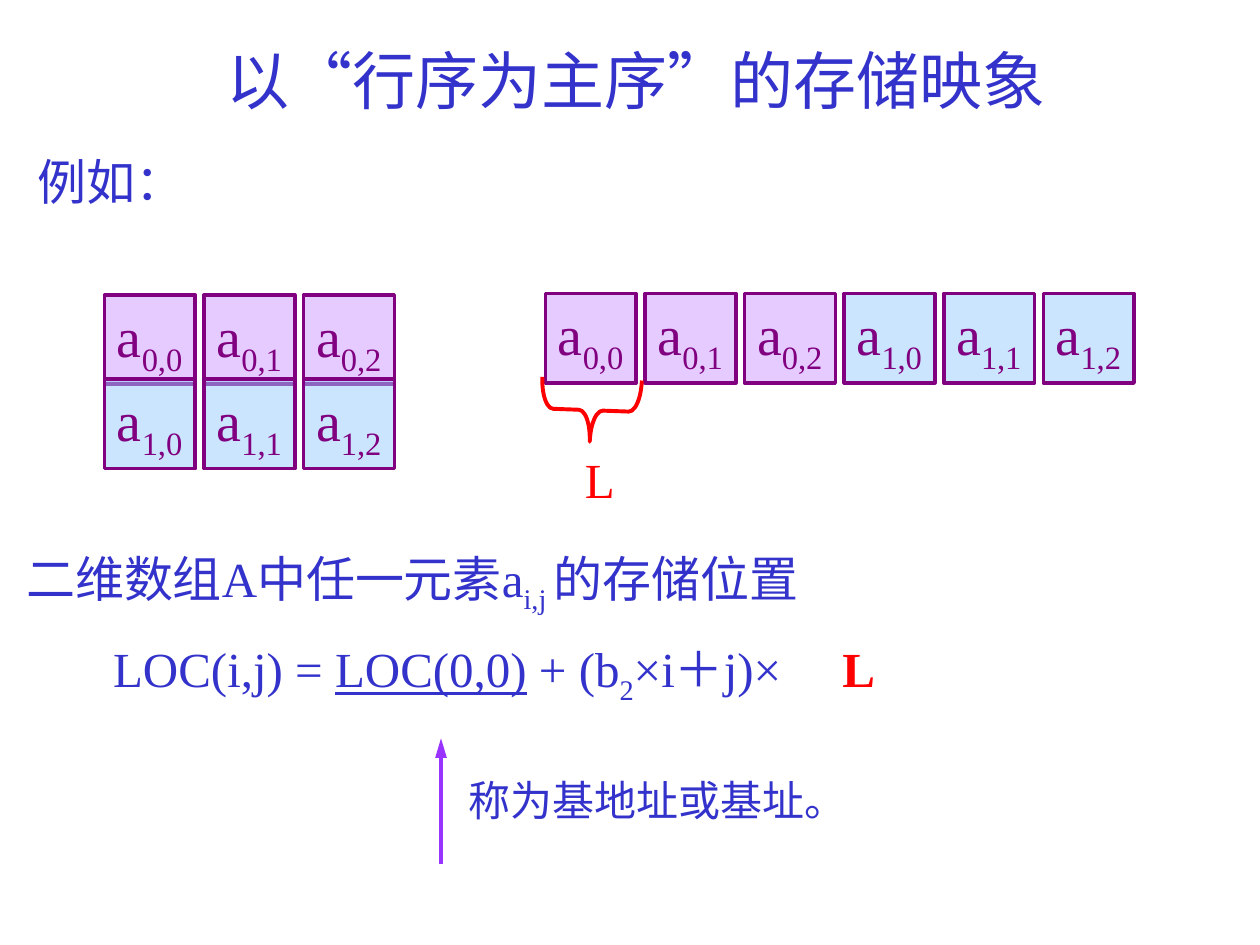
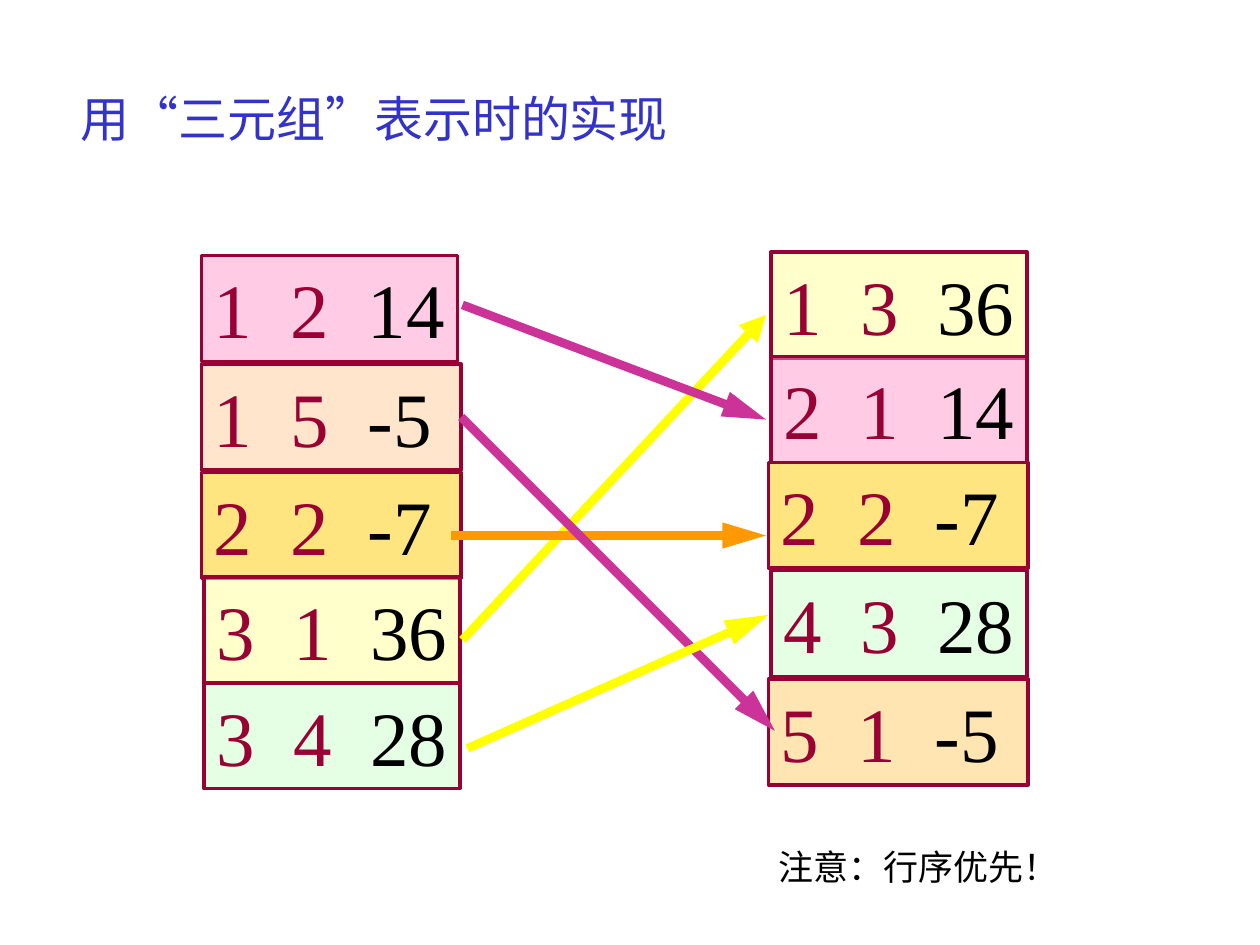
from lxml import etree
from pptx import Presentation
from pptx.dml.color import RGBColor
from pptx.enum.shapes import MSO_CONNECTOR, MSO_SHAPE
from pptx.enum.text import MSO_ANCHOR, MSO_AUTO_SIZE, PP_ALIGN
from pptx.oxml.ns import qn
from pptx.util import Inches, Pt

RECT = MSO_SHAPE.RECTANGLE
BRACE = MSO_SHAPE.LEFT_BRACE
LINE = MSO_CONNECTOR.STRAIGHT
LEFT = PP_ALIGN.LEFT
CENTER = PP_ALIGN.CENTER
TOP = MSO_ANCHOR.TOP
NO_FIT = MSO_AUTO_SIZE.NONE
RIGHT_SIDE = 3

FONT = "Times New Roman"
BLUE = RGBColor(0x33, 0x33, 0xCC)
BLACK = RGBColor(0, 0, 0)
RED = RGBColor(0xFF, 0, 0)
PURPLE = RGBColor(0x80, 0, 0x80)
VIOLET = RGBColor(0x99, 0x33, 0xFF)
LILAC = RGBColor(0xCC, 0x99, 0xFF)
SKY = RGBColor(0x99, 0xCC, 0xFF)
WINE = RGBColor(0x99, 0, 0x33)
PINK = RGBColor(0xFF, 0x99, 0xCC)
PEACH = RGBColor(0xFF, 0xCC, 0x99)
SAND = RGBColor(0xFF, 0xCC, 0x66)
GOLD = RGBColor(0xFF, 0xCC, 0)
CREAM = RGBColor(0xFF, 0xFF, 0x99)
MINT = RGBColor(0xCC, 0xFF, 0xCC)
YELLOW = RGBColor(0xFF, 0xFF, 0)
ROSE = RGBColor(0xCC, 0x33, 0x99)
ORANGE = RGBColor(0xFF, 0x99, 0)

ROW_FILLS = (LILAC, SKY)
COLS = 3

# left, top, row, column, value, fill
SOURCE = [
    (1.6, 2.03, 1, 2, 14, PINK),
    (1.6, 2.89, 1, 5, -5, PEACH),
    (1.6, 3.75, 2, 2, -7, GOLD),
    (1.62, 4.58, 3, 1, 36, CREAM),
    (1.62, 5.42, 3, 4, 28, MINT),
]
RESULT = [
    (6.12, 2, 1, 3, 36, CREAM),
    (6.12, 2.83, 2, 1, 14, PINK),
    (6.1, 3.67, 2, 2, -7, GOLD),
    (6.12, 4.53, 4, 3, 28, MINT),
    (6.1, 5.39, 5, 1, -5, SAND),
]


def write(shape, *paras, size=28, color=BLUE, bold=False, align=LEFT,
          wrap=True, spacing=None):
    """Fill a shape; a paragraph is a string or a list of (text, format) runs."""
    frame = shape.text_frame
    frame.auto_size = NO_FIT
    frame.word_wrap = wrap
    frame.vertical_anchor = TOP
    for i, runs in enumerate(paras):
        para = frame.paragraphs[0] if i == 0 else frame.add_paragraph()
        para.alignment = align
        para.line_spacing = spacing
        for text, form in [(runs, {})] if isinstance(runs, str) else runs:
            run = para.add_run()
            run.text = text
            font = run.font
            font.name, font.size, font.bold = FONT, Pt(size), bold
            font.color.rgb = form.get("color", color)
            if form.get("under"):
                font.underline = True
            if form.get("sub"):
                run._r.get_or_add_rPr().set("baseline", "-25000")
    return frame


def title(slide, text, box, size):
    shape = slide.shapes.title
    shape.left, shape.top, shape.width, shape.height = map(Inches, box)
    write(shape, text, size=size)


def label(slide, box, *paras, **form):
    return write(slide.shapes.add_textbox(*map(Inches, box)), *paras, **form)


def cell(slide, box, fill, edge):
    """Add a half-transparent box with a coloured edge."""
    shape = slide.shapes.add_shape(RECT, *map(Inches, box))
    shape.shadow.inherit = False
    shape.fill.solid()
    shape.fill.fore_color.rgb = fill
    tint = shape._element.spPr.find(".//" + qn("a:srgbClr"))
    etree.SubElement(tint, qn("a:alpha"), val="50000")
    shape.line.color.rgb = edge
    shape.line.width = Pt(2)
    return shape


def item(slide, left, top, row, col):
    """Add one array element with its subscripts."""
    shape = cell(slide, (left, top, 0.72, 0.71), ROW_FILLS[row], PURPLE)
    write(shape, [("a", {}), (f"{row},{col}", {"sub": True})],
          size=32, color=PURPLE, wrap=False)


def triple(slide, left, top, row, col, value, fill):
    width = 2.06 if value < 0 else 2.03
    shape = cell(slide, (left, top, width, 0.84), fill, WINE)
    props = shape.text_frame.paragraphs[0]._p.get_or_add_pPr()
    tabs = etree.SubElement(props, qn("a:tabLst"))
    for stop in (0.61, 1.22):
        etree.SubElement(tabs, qn("a:tab"), pos=str(Inches(stop)), algn="l")
    frame = write(shape, [(f"{row}\t{col}\t", {}), (str(value), {"color": BLACK})],
                  size=44, color=WINE)
    frame.margin_right = 0
    return shape


def arrow(slide, start, end, color, width=5, length="lg", joined=None):
    line = slide.shapes.add_connector(LINE, *map(Inches, start + end))
    if joined is not None:
        line.begin_connect(joined, RIGHT_SIDE)
    line.line.color.rgb = color
    line.line.width = Pt(width)
    etree.SubElement(line.line._get_or_add_ln(), qn("a:tailEnd"),
                     type="triangle", w="med", len=length)
    etree.SubElement(line._element.spPr, qn("a:effectLst"))


def brace(slide, box, turn):
    shape = slide.shapes.add_shape(BRACE, *map(Inches, box))
    shape.rotation = turn
    shape.adjustments[0] = 0.19
    shape.shadow.inherit = False
    shape.fill.background()
    shape.line.color.rgb = RED
    shape.line.width = Pt(2.25)


def storage(slide):
    title(slide, "以“行序为主序”的存储映象", (1.7, 0.28, 6.9, 0.7), 36)
    label(slide, (0.2, 1.15, 1.72, 0.6), "例如：")
    for k in range(2 * COLS):
        row, col = divmod(k, COLS)
        item(slide, 0.83 + 0.79 * col, 2.34 + 0.67 * row, row, col)
        item(slide, 4.33 + 0.79 * k, 2.33, row, col)
    brace(slide, (4.44, 2.86, 0.5, 0.79), 272.1)
    label(slide, (4.44, 3.52, 0.64, 0.57), "L", color=RED, align=CENTER)

    place = [("二维数组A中任一元素a", {}), ("i,j ", {"sub": True}),
             ("的存储位置", {})]
    rule = [("LOC(i,j) = ", {}), ("LOC(0,0)", {"under": True}),
            (" + (b", {}), ("2", {"sub": True}), ("×i＋j)×", {})]
    frame = label(slide, (0.11, 4.17, 7, 1.64), place, rule, spacing=1.25)
    last = frame.paragraphs[1]
    last.space_before = Pt(4)
    last._p.get_or_add_pPr().set("marL", str(Inches(0.69)))
    label(slide, (6.49, 5.02, 0.65, 0.57), "L", color=RED, bold=True,
          align=CENTER)
    arrow(slide, (3.5, 6.86), (3.5, 5.86), VIOLET, width=2.25)
    label(slide, (3.62, 6.1, 3.4, 0.5), "称为基地址或基址。", size=24)


def swap(slide):
    """Show how the triples move when the matrix is transposed."""
    title(slide, "用“三元组”表示时的实现", (0.54, 0.65, 5.2, 0.57), 28)
    source = [triple(slide, *row) for row in SOURCE]
    for row in RESULT:
        triple(slide, *row)
    arrow(slide, (3.67, 5.08), (6.08, 2.5), YELLOW, length="med")
    arrow(slide, (3.67, 2.42), (6.08, 3.33), ROSE)
    arrow(slide, (3.58, 4.25), (6.08, 4.25), ORANGE)
    arrow(slide, (3.66, 3.31), (6.15, 5.8), ROSE, joined=source[1])
    arrow(slide, (3.71, 5.94), (6.1, 4.88), YELLOW)
    label(slide, (6.08, 6.66, 2.5, 0.44), "注意：行序优先！", size=20, color=BLACK)


def main():
    deck = Presentation()
    deck.slide_width, deck.slide_height = Inches(10), Inches(7.5)
    for build in (storage, swap):
        build(deck.slides.add_slide(deck.slide_layouts[5]))
    deck.save("out.pptx")


if __name__ == "__main__":
    main()
